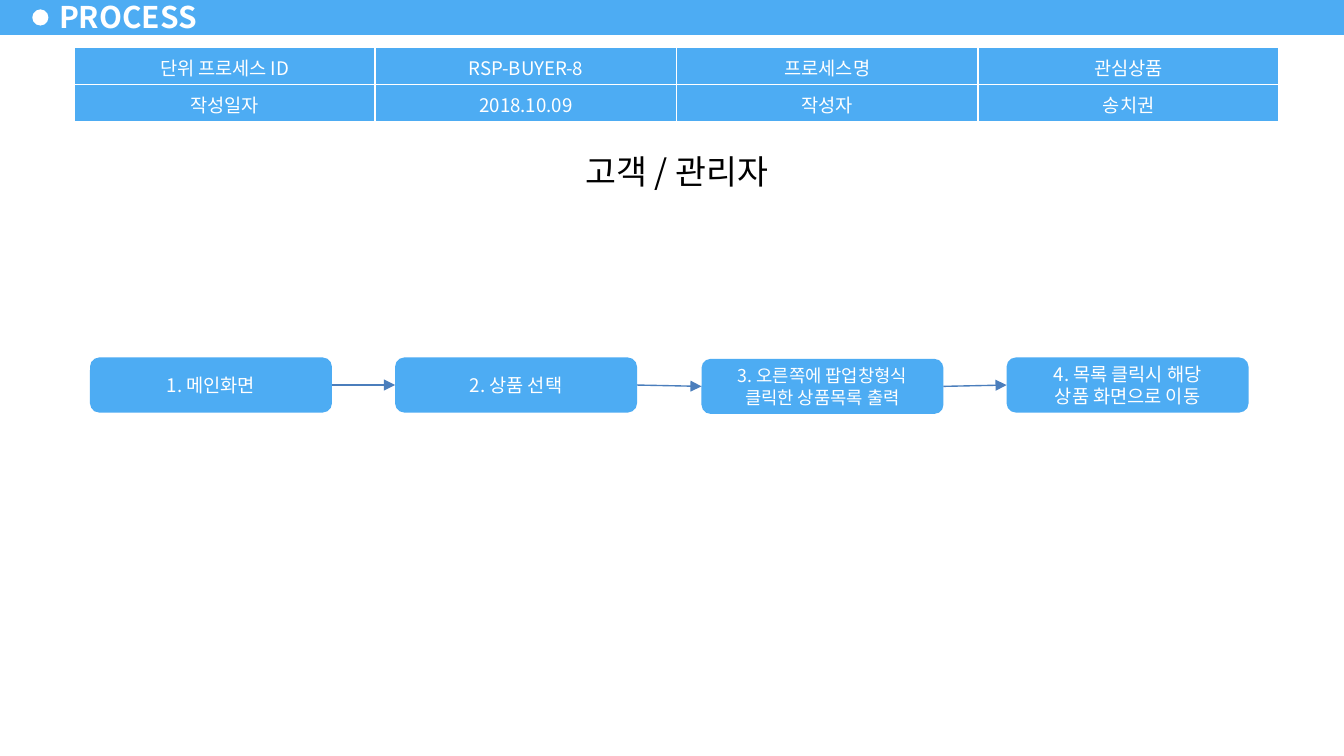
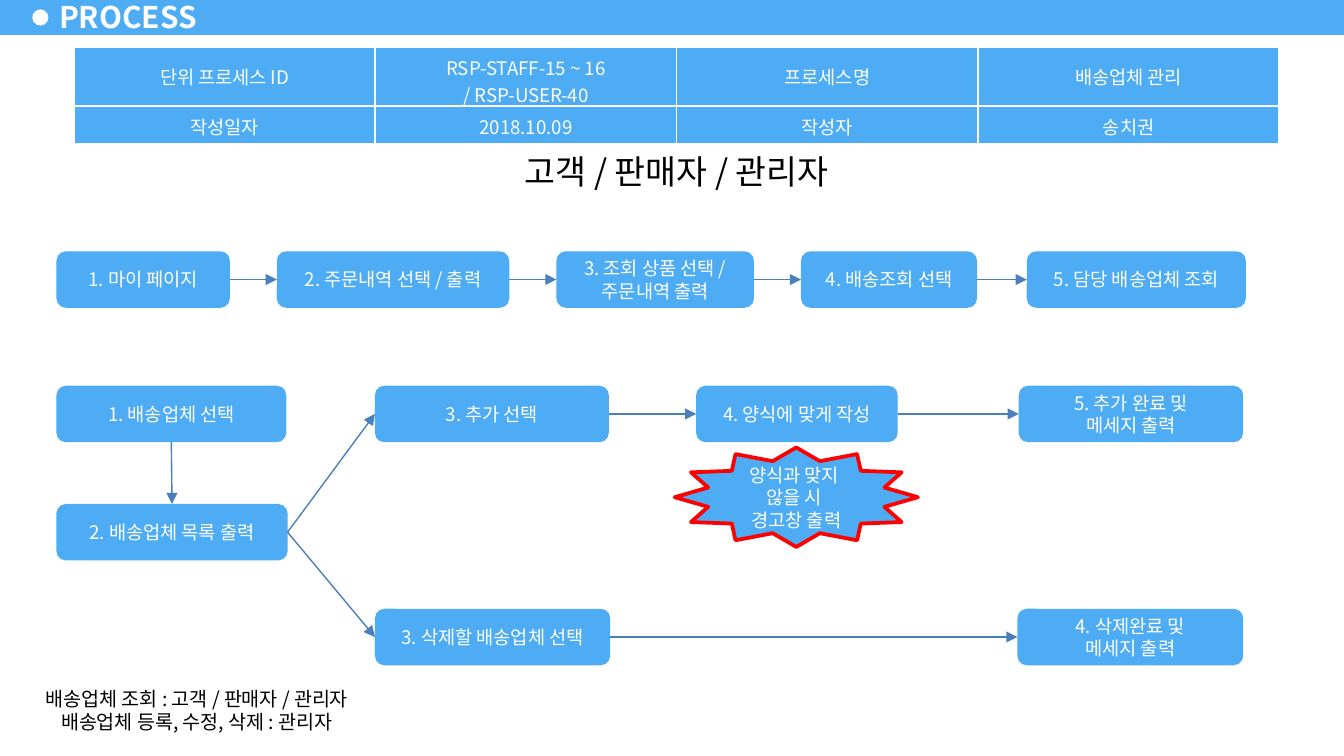
from lxml import etree
from pptx import Presentation
from pptx.dml.color import RGBColor
from pptx.enum.shapes import MSO_CONNECTOR, MSO_SHAPE
from pptx.enum.text import MSO_ANCHOR, MSO_AUTO_SIZE, PP_ALIGN
from pptx.oxml.ns import qn
from pptx.util import Inches, Pt

RECT, OVAL = MSO_SHAPE.RECTANGLE, MSO_SHAPE.OVAL
ROUNDED, STAR = MSO_SHAPE.ROUNDED_RECTANGLE, MSO_SHAPE.STAR_12_POINT
STRAIGHT = MSO_CONNECTOR.STRAIGHT
TOP, MIDDLE = MSO_ANCHOR.TOP, MSO_ANCHOR.MIDDLE
LEFT, CENTER = PP_ALIGN.LEFT, PP_ALIGN.CENTER
GROW = MSO_AUTO_SIZE.SHAPE_TO_FIT_TEXT
color = RGBColor.from_string

BLUE, WHITE, BLACK, RED, ARROW = "4DACF3", "FFFFFF", "000000", "FF0000", "4B7EBC"
FONT = "Noto Sans CJK KR"
TOP_SITE, LEFT_SITE, BOTTOM_SITE, RIGHT_SITE = range(4)

# Steps: key -> (left, top, width, text size, text); "\n" starts a paragraph, "\v" a line
wishlist_steps = {
    "main": (0.67, 2.66, 1.8, 10, "1. 메인화면"),
    "product": (2.94, 2.66, 1.8, 10, "2. 상품 선택"),
    "popup": (5.22, 2.67, 1.8, 9.5, "3. 오른쪽에 팝업창형식 클릭한 상품목록 출력"),
    "move": (7.49, 2.66, 1.8, 10, "4. 목록 클릭시 해당\n상품 화면으로 이동"),
}
delivery_steps = {
    "view1": (0.42, 1.87, 1.29, 10, "1. 마이 페이지"),
    "view2": (2.06, 1.87, 1.73, 10, "2. 주문내역 선택 / 출력"),
    "view3": (4.14, 1.87, 1.47, 10, "3. 조회 상품 선택 /\v주문내역 출력"),
    "view4": (5.96, 1.87, 1.31, 10, "4. 배송조회 선택"),
    "view5": (7.64, 1.87, 1.63, 10, "5. 담당 배송업체 조회"),
    "select": (0.42, 2.87, 1.71, 10, "1. 배송업체 선택"),
    "list": (0.42, 3.75, 1.72, 10, "2. 배송업체 목록 출력"),
    "add": (2.79, 2.87, 1.74, 10, "3. 추가 선택"),
    "form": (5.18, 2.87, 1.5, 10, "4. 양식에 맞게 작성"),
    "added": (7.58, 2.87, 1.67, 10, "5. 추가 완료 및\n메세지 출력"),
    "delete": (2.79, 4.53, 1.75, 10, "3. 삭제할 배송업체 선택"),
    "deleted": (7.57, 4.53, 1.68, 10, "4. 삭제완료 및\n메세지 출력"),
}
processes = [
    {
        "id": "RSP-BUYER-8",
        "name": "관심상품",
        "row_heights": (0.28, 0.28),
        "actors": "고객 / 관리자",
        "steps": wishlist_steps,
        "step_height": 0.41,
        "flows": [("main", "product"), ("product", "popup"), ("popup", "move")],
    },
    {
        "id": "RSP-STAFF-15 ~ 16\n/ RSP-USER-40",
        "name": "배송업체 관리",
        "row_heights": (0.44, 0.28),
        "actors": "고객 / 판매자 / 관리자",
        "steps": delivery_steps,
        "step_height": 0.42,
        "flows": [
            ("view1", "view2"), ("view2", "view3"), ("view3", "view4"), ("view4", "view5"),
            ("select", "list"), ("list", "add"), ("list", "delete"),
            ("add", "form"), ("form", "added"), ("delete", "deleted"),
        ],
        "warning": "양식과 맞지 \v않을 시 \v경고창 출력",
        "permissions": "배송업체 조회 : 고객 / 판매자 / 관리자\v배송업체 등록, 수정, 삭제 : 관리자",
    },
]


def write_text(frame, text, size, text_color=WHITE, align=CENTER, bold=False):
    frame.word_wrap = True
    for i, paragraph_text in enumerate(text.split("\n")):
        paragraph = frame.paragraphs[0] if i == 0 else frame.add_paragraph()
        paragraph.alignment = align
        for j, line in enumerate(paragraph_text.split("\v")):
            if j:
                paragraph.add_line_break()
            run = paragraph.add_run()
            run.text = line
            run.font.name = FONT
            run.font.size = Pt(size)
            run.font.bold = bold
            run.font.color.rgb = color(text_color)
            etree.SubElement(run.font._element, qn("a:ea"), typeface=FONT)


def add_block(slide, preset, box, fill, text="", size=10, text_color=WHITE, anchor=MIDDLE):
    """Add a flat, borderless preset shape; top-anchored blocks grow with their text."""
    block = slide.shapes.add_shape(preset, *map(Inches, box))
    block.shadow.inherit = False
    block.fill.solid()
    block.fill.fore_color.rgb = color(fill)
    block.line.fill.background()
    if text:
        write_text(block.text_frame, text, size, text_color)
        block.text_frame.vertical_anchor = anchor
        if anchor == TOP:
            block.text_frame.auto_size = GROW
    return block


prs = Presentation()
prs.slide_width = Inches(10)
prs.slide_height = prs.slide_width * 9 // 16

for process in processes:
    slide = prs.slides.add_slide(prs.slide_layouts[6])

    # Title band
    add_block(slide, RECT, (0, -0.02, 10, 0.28), BLUE)
    add_block(slide, OVAL, (0.24, 0.07, 0.12, 0.12), WHITE)
    title = slide.shapes.add_textbox(*map(Inches, (0.35, -0.04, 1.22, 0.32))).text_frame
    write_text(title, "PROCESS", 16, align=LEFT, bold=True)
    title.vertical_anchor = MIDDLE
    title.margin_left = title.margin_right = Inches(0.09)
    title.margin_top = title.margin_bottom = Inches(0.04)

    add_block(slide, RECT, (3.25, 1.07, 3.57, 0.41), WHITE, process["actors"], 18, BLACK, TOP)

    # Process details
    details = [
        ("단위 프로세스 ID", process["id"], "프로세스명", process["name"]),
        ("작성일자", "2018.10.09", "작성자", "송치권"),
    ]
    heights = process["row_heights"]
    table = slide.shapes.add_table(
        2, 4, Inches(0.55), Inches(0.35), Inches(8.97), Inches(sum(heights))).table
    for row, height, values in zip(table.rows, heights, details):
        row.height = Inches(height)
        for cell, value in zip(row.cells, values):
            write_text(cell.text_frame, value, 10)
            cell.vertical_anchor = MIDDLE
            cell_properties = cell._tc.get_or_add_tcPr()
            for side in ("a:lnL", "a:lnR", "a:lnT", "a:lnB"):
                border = etree.SubElement(cell_properties, qn(side), w=str(Pt(1)))
                border_fill = etree.SubElement(border, qn("a:solidFill"))
                etree.SubElement(border_fill, qn("a:srgbClr"), val=WHITE)
            cell.fill.solid()
            cell.fill.fore_color.rgb = color(BLUE)

    # Steps and the arrows between them
    steps = {
        key: add_block(slide, ROUNDED, (left, top, width, process["step_height"]),
                       BLUE, text, size)
        for key, (left, top, width, size, text) in process["steps"].items()
    }
    for source, target in process["flows"]:
        goes_down = steps[source].left == steps[target].left
        arrow = slide.shapes.add_connector(STRAIGHT, 0, 0, 0, 0)
        arrow.begin_connect(steps[source], BOTTOM_SITE if goes_down else RIGHT_SITE)
        arrow.end_connect(steps[target], TOP_SITE if goes_down else LEFT_SITE)
        arrow.line.color.rgb = color(ARROW)
        arrow.line.width = Pt(0.75)
        etree.SubElement(arrow.line._get_or_add_ln(), qn("a:tailEnd"), type="triangle")
        etree.SubElement(arrow._element.spPr, qn("a:effectLst"))

    if "warning" in process:
        warning = add_block(slide, STAR, (5.02, 3.33, 1.81, 0.74), BLUE, process["warning"])
        warning.line.color.rgb = color(RED)
        warning.line.width = Pt(2)
        frame = warning.text_frame
        frame.margin_left = frame.margin_right = frame.margin_top = frame.margin_bottom = 0

    if "permissions" in process:
        add_block(slide, RECT, (0.08, 5.06, 2.77, 0.45), WHITE,
                  process["permissions"], 10.5, BLACK, TOP)

prs.save("out.pptx")
